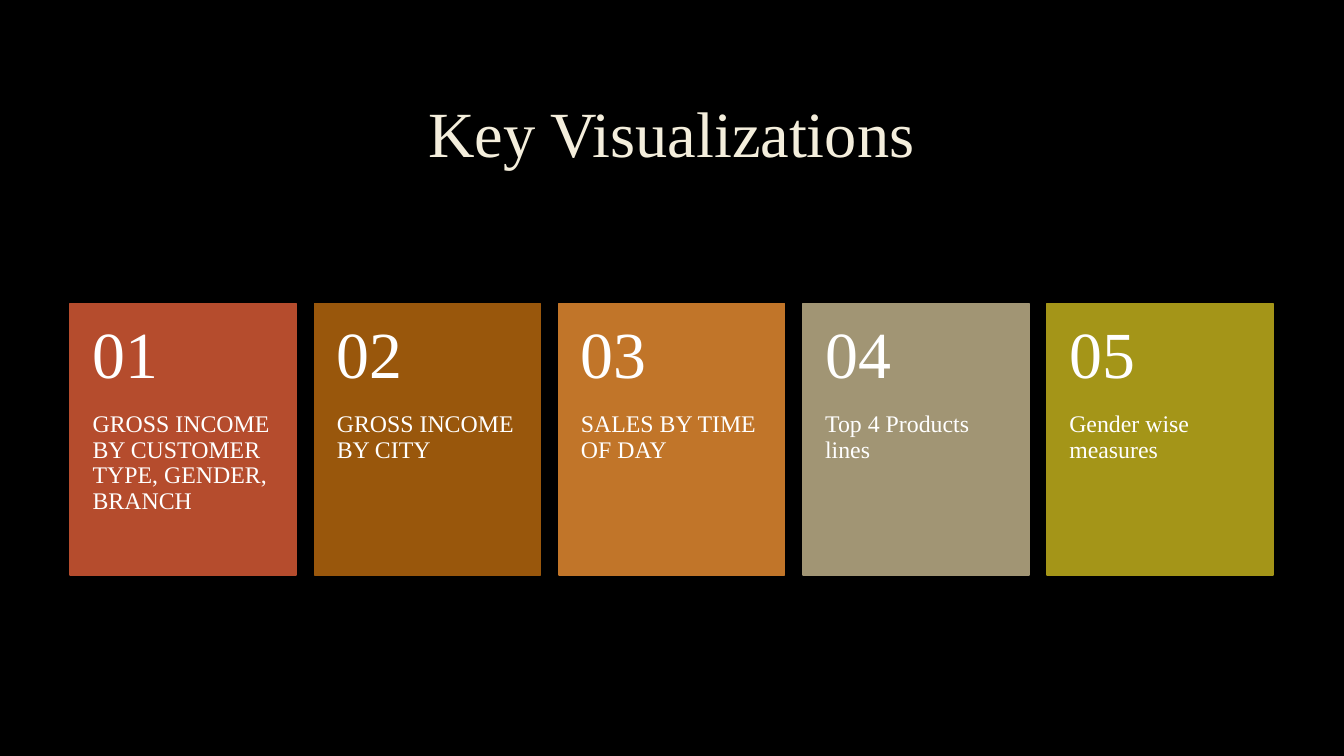
"""Build the Key Visualizations slide with five numbered cards."""
import pptx
import pptx.dml.color
import pptx.enum.shapes
import pptx.enum.text
import pptx.util

Pt = pptx.util.Pt
ANCHOR = pptx.enum.text.MSO_ANCHOR
ALIGN = pptx.enum.text.PP_ALIGN


def rgb(value):
    return pptx.dml.color.RGBColor.from_string(value)


def write(tf, text, size, color="FFFFFF", font="Times New Roman", align=ALIGN.LEFT):
    p = tf.paragraphs[0]
    p.alignment = align
    p.line_spacing = 0.9
    r = p.add_run()
    r.text = text
    r.font.size = Pt(size)
    r.font.name = font
    r.font.color.rgb = rgb(color)


class Deck:
    def __init__(self):
        self.prs = pptx.Presentation()
        self.prs.slide_width, self.prs.slide_height = Pt(960), Pt(540)
        self.s = self.prs.slides.add_slide(self.prs.slide_layouts[6])
        self.s.background.fill.solid()
        self.s.background.fill.fore_color.rgb = rgb("000000")

    def text(self, shapes, box, text, size, insets=(7.2, 3.6, 7.2, 3.6),
             anchor=ANCHOR.MIDDLE, **fmt):
        tf = shapes.add_textbox(*map(Pt, box)).text_frame
        tf.word_wrap = True
        tf.vertical_anchor = anchor
        tf.margin_left, tf.margin_top, tf.margin_right, tf.margin_bottom = map(Pt, insets)
        write(tf, text, size, **fmt)

    def rect(self, shapes, box, color):
        sp = shapes.add_shape(pptx.enum.shapes.MSO_SHAPE.RECTANGLE, *map(Pt, box))
        sp.shadow.inherit = False
        sp.fill.solid()
        sp.fill.fore_color.rgb = rgb(color)
        sp.line.color.rgb = rgb(color)
        sp.line.width = Pt(1.25)

    def card(self, shapes, left, number, label, color):
        top, width, height, head = 216.7, 161.4, 193.8, 77.5
        self.rect(shapes, (left, top, width, height), color)
        self.text(shapes, (left, top + head, width, height - head), label, 17,
                  insets=(15.9, 0, 15.9, 25.9), anchor=ANCHOR.TOP)
        self.text(shapes, (left, top, width, head), number, 47,
                  insets=(15.9, 13, 15.9, 13))


def main():
    deck = Deck()
    deck.text(deck.s.shapes, (72, 48, 815, 99.4), "Key Visualizations", 46,
              color="F4EEDC", align=ALIGN.CENTER)
    cards = [
        ("GROSS INCOME BY CUSTOMER TYPE, GENDER, BRANCH", "B54C2D"),
        ("GROSS INCOME BY CITY", "99570C"),
        ("SALES BY TIME OF DAY", "C17529"),
        ("Top 4 Products lines", "A19574"),
        ("Gender wise measures", "A49518"),
    ]
    group = deck.s.shapes.add_group_shape()
    for i, (label, color) in enumerate(cards):
        deck.card(group.shapes, 50.3 + 174.4 * i, f"{i + 1:02d}", label, color)
    deck.prs.save("out.pptx")


if __name__ == "__main__":
    main()
